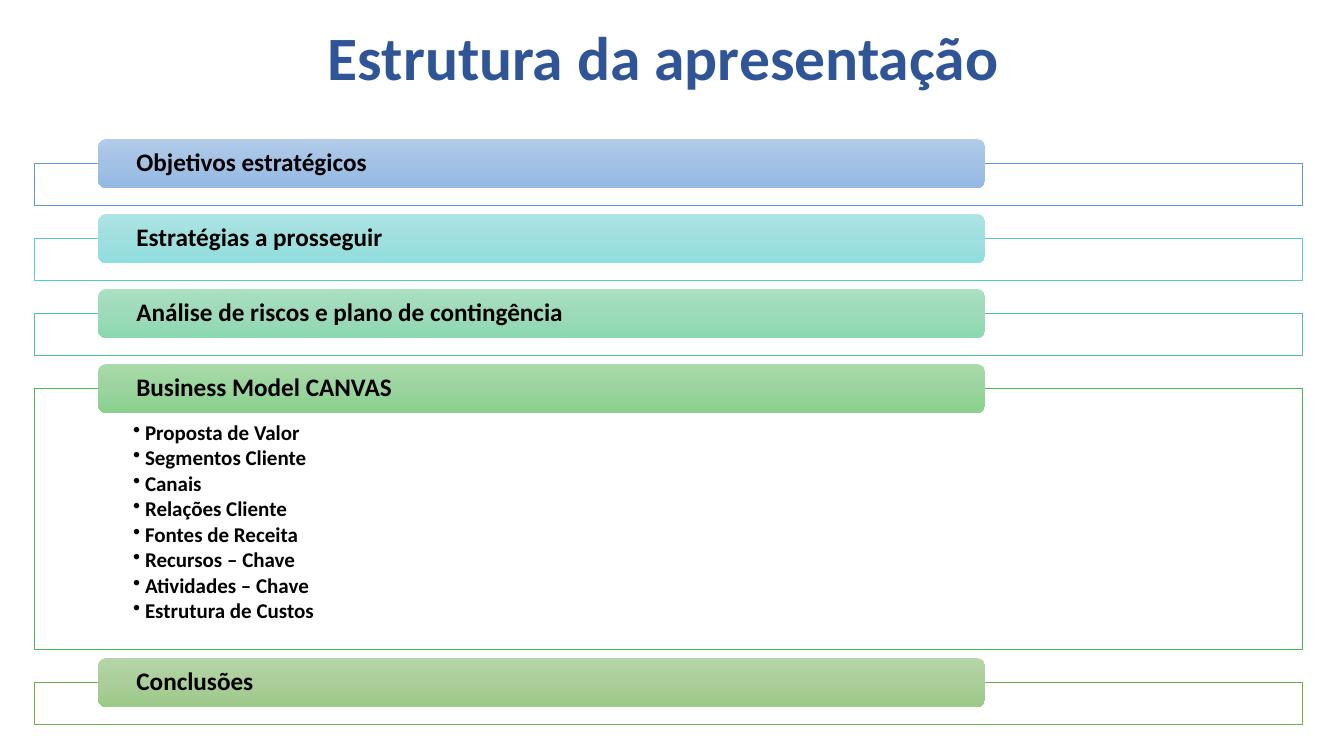
"""Builds the agenda slide: a title and five framed section bars."""
import copy

from lxml import etree
from pptx import Presentation
from pptx import util as u
from pptx.dml import color
from pptx.enum import shapes, text
from pptx.oxml import ns

PX = u.Inches(1) / 100.8
COLORS = {"title": "2F5597", "text": "000000", "frame": "FFFFFF"}
TOPICS = [
    "Proposta de Valor", "Segmentos Cliente", "Canais", "Relações Cliente",
    "Fontes de Receita", "Recursos – Chave", "Atividades – Chave", "Estrutura de Custos",
]
SECTIONS = [
    ("Objetivos estratégicos", "5B9BD5", ("B1CBE9", "A3C1E5", "93B9E4"), []),
    ("Estratégias a prosseguir", "54CCCD", ("AEE4E5", "A0DFDF", "8FDEDE"), []),
    ("Análise de riscos e plano de contingência", "4DC58D", ("ABE0C3", "9DDAB9", "8CD8AF"), []),
    ("Business Model CANVAS", "48BB4F", ("A9DAAB", "9BD49E", "89D18C"), TOPICS),
    ("Conclusões", "70AD47", ("B5D5A7", "AACE9A", "9CC987"), []),
]
BAR_HEIGHT, FRAME_DROP, GAP = 49, 24, 9
FRAME_HEIGHT, TOPICS_HEIGHT = 42, 261


def px(*lengths):
    """Turn pixels into EMU."""
    return [u.Emu(round(length * PX)) for length in lengths]


def write(shape, lines, size, ink="text", align=text.PP_ALIGN.LEFT,
          anchor=text.MSO_ANCHOR.MIDDLE, insets=(0, 0, 0, 0), after=0, bullet=False):
    """Fill a shape with bold paragraphs."""
    frame = shape.text_frame
    frame.word_wrap = True
    frame.vertical_anchor = anchor
    frame.margin_left, frame.margin_top, frame.margin_right, frame.margin_bottom = px(*insets)
    for index, line in enumerate(lines):
        para = frame.paragraphs[0] if index == 0 else frame.add_paragraph()
        para.alignment = align
        para.line_spacing = 0.9
        para.space_after = u.Pt(after)
        span = para.add_run()
        span.text = line
        span.font.name, span.font.size, span.font.bold = "Calibri", u.Pt(size), True
        span.font.color.rgb = color.RGBColor.from_string(COLORS[ink])
        if bullet:
            props = para._p.get_or_add_pPr()
            indent = px(12)[0]
            props.set("marL", str(indent))
            props.set("indent", str(-indent))
            etree.SubElement(props, ns.qn("a:buChar")).set("char", "•")


deck = Presentation()
deck.slide_width, deck.slide_height = u.Inches(13.33), u.Inches(7.5)
page = deck.slides.add_slide(deck.slide_layouts[6])

title = page.shapes.add_textbox(*px(84, 18, 1159, 85))
write(title, ["Estrutura da apresentação"], 44, ink="title", align=text.PP_ALIGN.CENTER, after=6)

top = 139
for heading, outline, shades, topics in SECTIONS:
    height = TOPICS_HEIGHT if topics else FRAME_HEIGHT
    box = page.shapes.add_shape(shapes.MSO_SHAPE.RECTANGLE, *px(34, top + FRAME_DROP, 1268, height))
    box.shadow.inherit = False
    box.fill.solid()
    box.fill.fore_color.rgb = color.RGBColor.from_string(COLORS["frame"])
    box.line.color.rgb = color.RGBColor.from_string(outline)
    box.line.width = u.Pt(0.5)
    write(box, topics, 15, anchor=text.MSO_ANCHOR.TOP, insets=(99, 34, 99, 12), after=2, bullet=True)

    bar = page.shapes.add_shape(shapes.MSO_SHAPE.ROUNDED_RECTANGLE, *px(98, top, 887, BAR_HEIGHT))
    bar.shadow.inherit = False
    bar.line.fill.background()
    bar.fill.gradient()
    bar.fill.gradient_angle = 270
    first = bar.element.spPr.find(".//" + ns.qn("a:gs"))
    first.addnext(copy.deepcopy(first))
    for stop, shade, position in zip(bar.fill.gradient_stops, shades, (0, 0.5, 1)):
        stop.color.rgb = color.RGBColor.from_string(shade)
        stop.position = position
    write(bar, [heading], 18, insets=(36, 0, 36, 0))

    top += FRAME_DROP + height + GAP

deck.save("out.pptx")
